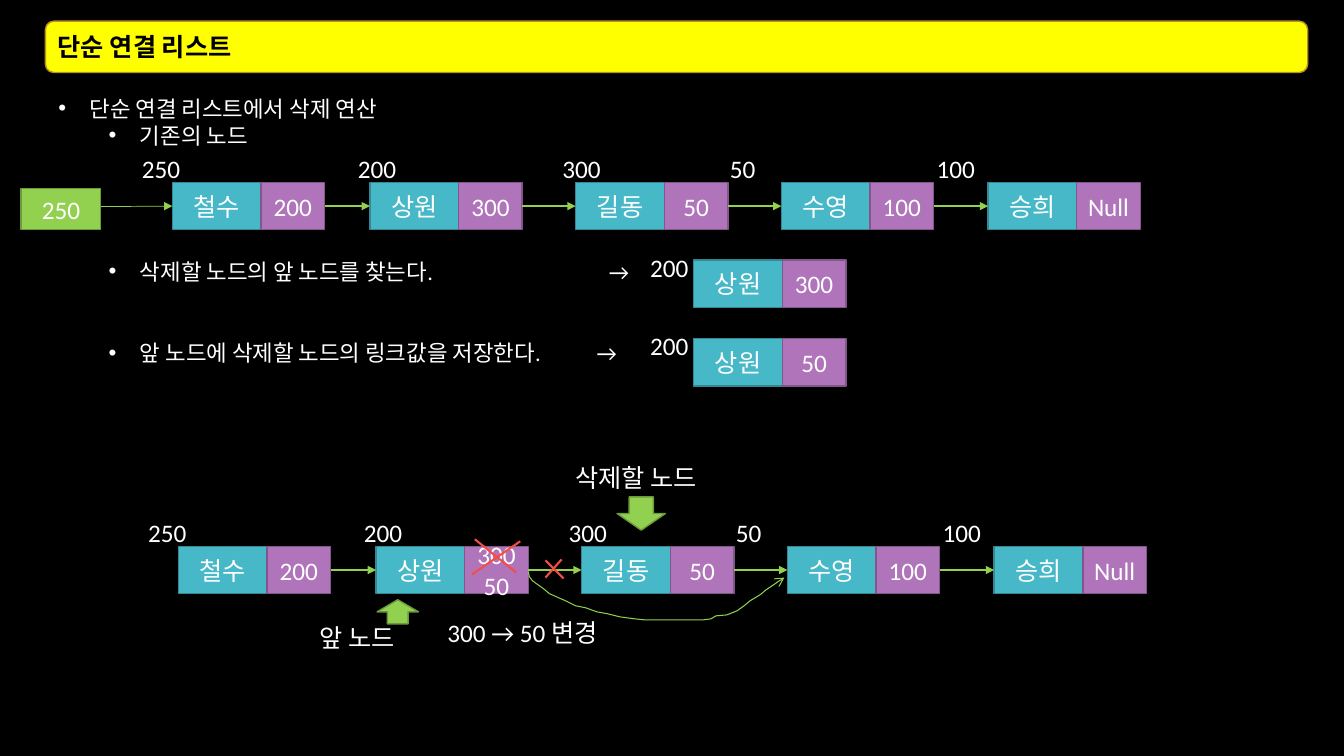
from lxml import etree
from pptx import Presentation
from pptx.dml.color import RGBColor
from pptx.enum.shapes import MSO_CONNECTOR, MSO_SHAPE
from pptx.enum.text import MSO_ANCHOR, PP_ALIGN
from pptx.oxml.ns import qn
from pptx.util import Inches, Pt

RECT, ROUND = MSO_SHAPE.RECTANGLE, MSO_SHAPE.ROUNDED_RECTANGLE
DOWN, UP = MSO_SHAPE.DOWN_ARROW, MSO_SHAPE.UP_ARROW
STRAIGHT = MSO_CONNECTOR.STRAIGHT
LEFT, CENTER = PP_ALIGN.LEFT, PP_ALIGN.CENTER
TOP, MIDDLE = MSO_ANCHOR.TOP, MSO_ANCHOR.MIDDLE

BLACK = RGBColor(0x00, 0x00, 0x00)
WHITE = RGBColor(0xFF, 0xFF, 0xFF)
YELLOW = RGBColor(0xFF, 0xFF, 0x00)
GOLD = RGBColor(0xB7, 0x90, 0x24)
TEAL = RGBColor(0x47, 0xB8, 0xC7)
DARK_TEAL = RGBColor(0x35, 0x88, 0x93)
PURPLE = RGBColor(0xB0, 0x74, 0xBA)
DARK_PURPLE = RGBColor(0x82, 0x56, 0x8A)
GREEN = RGBColor(0x92, 0xD0, 0x50)
DARK_GREEN = RGBColor(0x6C, 0x9A, 0x3B)
RED = RGBColor(0xF3, 0x4D, 0x47)

TITLE = "단순 연결 리스트"
# text, level, points before, line spacing, tab stop in inches
BULLETS = [
    ("단순 연결 리스트에서 삭제 연산", 0, 0, 1.5, None),
    ("기존의 노드", 1, 0, 1, None),
    ("삭제할 노드의 앞 노드를 찾는다.\t→", 1, 78, 1, 5.46),
    ("앞 노드에 삭제할 노드의 링크값을 저장한다.\t→", 1, 39, 1, 5.34),
]
# address, its shift from the node, left edge, name, link
NODES = [
    ("250", -0.4, 1.71, "철수", "200"),
    ("200", -0.22, 3.67, "상원", "300"),
    ("300", -0.23, 5.71, "길동", "50"),
    ("50", -0.61, 7.75, "수영", "100"),
    ("100", -0.61, 9.8, "승희", "Null"),
]
ROWS = [(0, 1.81, {}), (0.06, 5.42, {"200": "300\n50"})]
STEPS = [("300", 2.58), ("50", 3.36)]
STEP_LEFT = 6.88
NAME_W, LINK_W, NODE_H = 0.88, 0.63, 0.47
LABELS = [
    ("삭제할 노드", 5.61, 4.54, 1.53),
    ("앞 노드", 3.07, 6.12, 1.04),
    ("300 → 50 변경", 4.34, 6.08, 1.86),
]
BLOCKS = [(DOWN, 6.12, 4.93, 0.48, 0.33), (UP, 3.74, 5.95, 0.41, 0.24)]
CROSSES = [
    (4.68, 5.7, 5.16, 5.37), (5.12, 5.68, 4.71, 5.35),
    (5.41, 5.73, 5.57, 5.55), (5.59, 5.74, 5.41, 5.56),
]
BYPASS = [
    (5.24, 5.67), (5.25, 5.72), (5.28, 5.76), (5.32, 5.79), (5.39, 5.84),
    (5.45, 5.89), (5.54, 5.93), (5.61, 5.96), (5.71, 6.01), (5.81, 6.03),
    (5.92, 6.07), (6.03, 6.09), (6.15, 6.12), (6.3, 6.14), (6.4, 6.15),
    (6.97, 6.15), (7.05, 6.14), (7.1, 6.11), (7.21, 6.1), (7.31, 6.06),
    (7.38, 6.01), (7.44, 5.96), (7.49, 5.93), (7.54, 5.9), (7.6, 5.85),
    (7.69, 5.79), (7.75, 5.74), (7.78, 5.73),
]

deck = Presentation()
deck.slide_width, deck.slide_height = Inches(13.33), Inches(7.5)
slide = deck.slides.add_slide(deck.slide_layouts[6])
slide.background.fill.solid()
slide.background.fill.fore_color.rgb = BLACK
shapes = slide.shapes


def write(shape, text, size=18, color=WHITE, bold=False, align=CENTER, anchor=MIDDLE):
    frame = shape.text_frame
    frame.word_wrap = True
    frame.vertical_anchor = anchor
    frame.text = text
    for para in frame.paragraphs:
        para.alignment = align
        font = para.runs[0].font
        font.name, font.size, font.bold = "Calibri", Pt(size), bold
        font.color.rgb = color


def block(kind, x, y, w, h, fill, edge):
    shape = shapes.add_shape(kind, Inches(x), Inches(y), Inches(w), Inches(h))
    shape.shadow.inherit = False
    shape.fill.solid()
    shape.fill.fore_color.rgb = fill
    shape.line.color.rgb = edge
    shape.line.width = Pt(1)
    return shape


def label(text, x, y, w=0.79):
    box = shapes.add_textbox(Inches(x), Inches(y), Inches(w), Inches(0.4))
    write(box, text, align=LEFT, anchor=TOP)


def node(x, y, name, link):
    """Draw a name cell with its link cell and return both."""
    left = block(RECT, x, y, NAME_W, NODE_H, TEAL, DARK_TEAL)
    write(left, name)
    right = block(RECT, x + NAME_W, y, LINK_W, NODE_H, PURPLE, DARK_PURPLE)
    write(right, link)
    return left, right


def stroke(line, color, width, head=None):
    line.color.rgb = color
    line.width = Pt(width)
    if head:
        etree.SubElement(line._get_or_add_ln(), qn("a:tailEnd"), type=head)


def connect(x1, y1, x2, y2, color, width, head=None):
    line = shapes.add_connector(STRAIGHT, Inches(x1), Inches(y1), Inches(x2), Inches(y2))
    stroke(line.line, color, width, head)
    etree.SubElement(line._element.spPr, qn("a:effectLst"))
    return line


def bullet(para, level, before, spacing, tab):
    para.level = level
    para.space_before = Pt(before)
    para.line_spacing = spacing
    props = para._p.get_or_add_pPr()
    props.set("marL", str(Inches(0.81 if level else 0.31)))
    props.set("indent", str(Inches(-0.31)))
    etree.SubElement(props, qn("a:buFont"), typeface="Arial")
    etree.SubElement(props, qn("a:buChar"), char="•")
    if tab:
        stops = etree.SubElement(props, qn("a:tabLst"))
        etree.SubElement(stops, qn("a:tab"), pos=str(Inches(tab)), algn="l")


panel = block(RECT, 0.48, 0.76, 12.48, 6.46, BLACK, BLACK)
write(panel, "\n".join(item[0] for item in BULLETS), size=16, align=LEFT, anchor=TOP)
for para, item in zip(panel.text_frame.paragraphs, BULLETS):
    bullet(para, *item[1:])
title = block(ROUND, 0.45, 0.21, 12.52, 0.51, YELLOW, GOLD)
write(title, TITLE, color=BLACK, bold=True, align=LEFT)

heads = []
for shift, top, swaps in ROWS:
    mid = top + NODE_H / 2
    last = None
    for address, offset, x, name, link in NODES:
        x += shift
        left, right = node(x, top, name, swaps.get(address, link))
        label(address, x + offset, top - 0.34)
        if last:
            arrow = connect(x - 0.5, mid, x, mid, GREEN, 1.5, "triangle")
            arrow.begin_connect(last, 3)
            arrow.end_connect(left, 1)
        else:
            heads.append(left)
        last = right

for link, top in STEPS:
    node(STEP_LEFT, top, "상원", link)
    label("200", 6.35, top - 0.13)

for item in BLOCKS:
    block(*item, GREEN, DARK_GREEN)
for item in LABELS:
    label(*item)
for ends in CROSSES:
    connect(*ends, RED, 1.5)

pen = shapes.build_freeform(Inches(BYPASS[0][0]), Inches(BYPASS[0][1]))
pen.add_line_segments([(Inches(x), Inches(y)) for x, y in BYPASS[1:]], close=False)
curve = pen.convert_to_shape()
curve.shadow.inherit = False
curve.fill.background()
stroke(curve.line, GREEN, 0.75, "arrow")

start = block(RECT, 0.21, 1.87, 0.79, 0.41, GREEN, DARK_GREEN)
write(start, "250")
entry = connect(1, 2.05, 1.71, 2.05, GREEN, 0.5, "triangle")
entry.end_connect(heads[0], 1)

deck.save("out.pptx")
